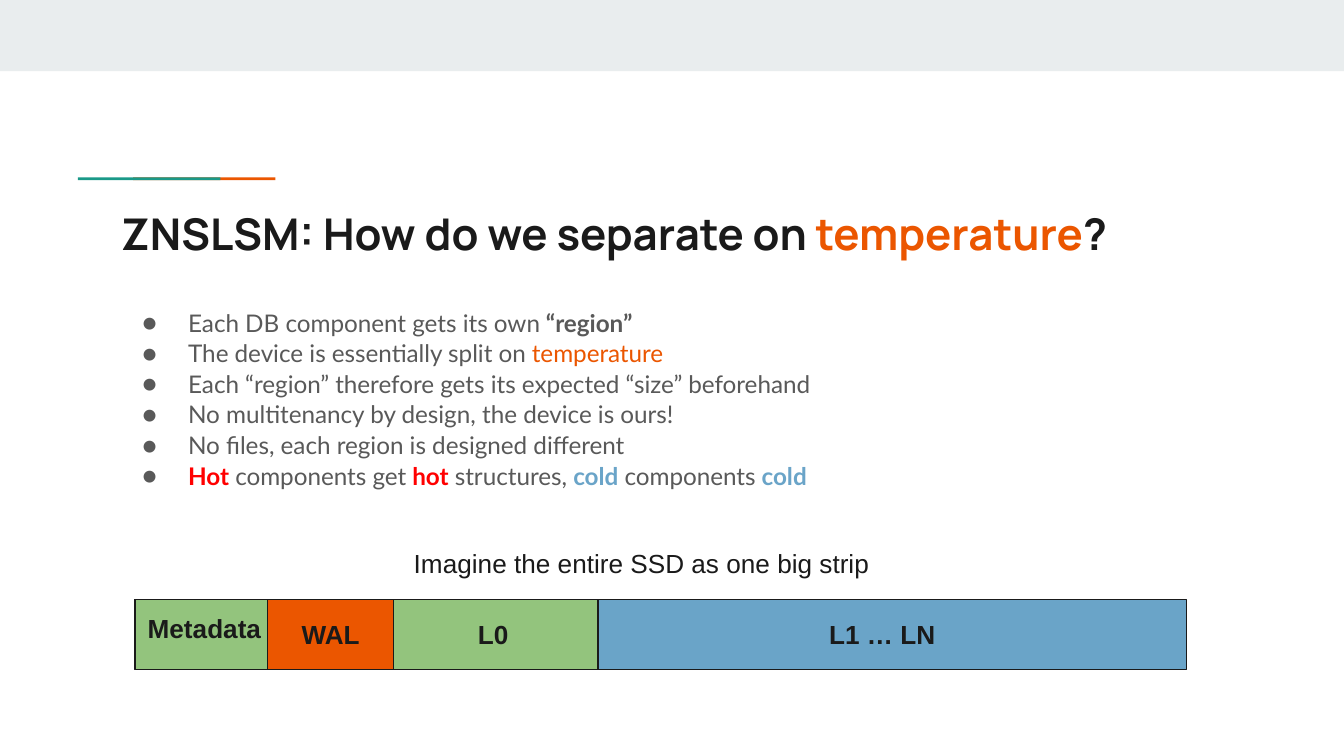
import pptx
import pptx.util
import pptx.dml.color
import pptx.enum.shapes
import pptx.enum.text
import pptx.oxml
import pptx.oxml.ns
from pptx.util import Inches

COLORS = {
    "ink": "1A1A1A", "grey": "595959", "band": "E9EDEE", "teal": "1A9988",
    "orange": "EB5600", "red": "FF0000", "blue": "6AA4C8", "green": "93C47D",
}
ALIGN = pptx.enum.text.PP_ALIGN

# Each line is a list of (text, colour, bold)
TITLE = [("ZNSLSM: How do we separate on ", "ink", True),
         ("temperature", "orange", True), ("?", "ink", True)]
POINTS = [
    [("Each DB component gets its own ", "grey", False), ("“region”", "grey", True)],
    [("The device is essentially split on ", "grey", False),
     ("temperature", "orange", False)],
    [("Each “region” therefore gets its expected “size” beforehand", "grey", False)],
    [("No multitenancy by design, the device is ours!", "grey", False)],
    [("No files, each region is designed different", "grey", False)],
    [("Hot", "red", True), (" components get ", "grey", False),
     ("hot", "red", True), (" structures, ", "grey", False),
     ("cold", "blue", True), (" components ", "grey", False),
     ("cold", "blue", True)],
]
# Strip regions: left, width, colour (the first lies under the others)
REGIONS = [(0, 7.83, "blue"), (0.01, 0.98, "green"),
           (0.99, 0.94, "orange"), (1.93, 1.52, "green")]
# Strip labels: text, left, top, width, alignment
LABELS = [("Metadata", 0, 0, 1.19, ALIGN.LEFT),
          ("WAL", 0.94, 0.04, 1.04, ALIGN.CENTER),
          ("L0", 2.15, 0.04, 1.04, ALIGN.CENTER),
          ("L1 … LN", 4.34, 0.04, 2.45, ALIGN.CENTER)]


def rgb(name):
    return pptx.dml.color.RGBColor.from_string(COLORS[name])


def place(shape, left, top, width, height):
    shape.left, shape.top = Inches(left), Inches(top)
    shape.width, shape.height = Inches(width), Inches(height)


def prepare_frame(shape):
    frame = shape.text_frame
    frame.word_wrap = True
    frame.auto_size = pptx.enum.text.MSO_AUTO_SIZE.NONE
    frame.vertical_anchor = pptx.enum.text.MSO_ANCHOR.TOP
    frame.margin_left = frame.margin_right = Inches(0.1)
    frame.margin_top = frame.margin_bottom = Inches(0.1)
    return frame


def write_spans(para, spans, font, size):
    for text, color, bold in spans:
        span = para.add_run()
        span.text = text
        span.font.name = font
        span.font.size = pptx.util.Pt(size)
        span.font.bold = bold
        span.font.color.rgb = rgb(color)


def add_bullet(para):
    properties = para._p.get_or_add_pPr()
    properties.set("marL", str(Inches(0.5)))
    properties.set("indent", str(Inches(-0.34)))
    namespace = pptx.oxml.ns.nsdecls("a")
    for xml in (
        f'<a:buClr {namespace}><a:srgbClr val="{COLORS["grey"]}"/></a:buClr>',
        f'<a:buFont {namespace} typeface="Lato"/>',
        f'<a:buChar {namespace} char="●"/>',
    ):
        properties.append(pptx.oxml.parse_xml(xml))


def add_rectangle(page, left, top, width, height, color, outlined=False):
    shape = page.shapes.add_shape(
        pptx.enum.shapes.MSO_SHAPE.RECTANGLE,
        Inches(left), Inches(top), Inches(width), Inches(height))
    shape.shadow.inherit = False
    shape.fill.solid()
    shape.fill.fore_color.rgb = rgb(color)
    if outlined:
        shape.line.color.rgb = rgb("ink")
        shape.line.width = pptx.util.Pt(0.75)
    else:
        shape.line.fill.background()


def add_label(page, text, left, top, width, align, bold):
    box = page.shapes.add_textbox(
        Inches(left), Inches(top), Inches(width), Inches(0.44))
    para = prepare_frame(box).paragraphs[0]
    para.alignment = align
    write_spans(para, [(text, "ink", bold)], "Arial", 14)


def add_decoration(page, left, top, width):
    add_rectangle(page, left, top, width, 0.53, "band")
    # Accent rule: teal overlaps orange
    add_rectangle(page, left + 0.99, top + 1.32, 1.06, 0.02, "orange")
    add_rectangle(page, left + 0.58, top + 1.32, 1.06, 0.02, "teal")


def fill_title(page, left, top, width, height):
    title = page.shapes.title
    place(title, left, top, width, height)
    para = prepare_frame(title).paragraphs[0]
    para.alignment = ALIGN.LEFT
    write_spans(para, TITLE, "Manrope", 23.4)


def fill_points(page, left, top, width, height):
    body = page.placeholders[1]
    place(body, left, top, width, height)
    frame = prepare_frame(body)
    for index, spans in enumerate(POINTS):
        para = frame.add_paragraph() if index else frame.paragraphs[0]
        add_bullet(para)
        para.alignment = ALIGN.LEFT
        para.line_spacing = 1.05
        para.space_before = para.space_after = pptx.util.Pt(0)
        write_spans(para, spans, "Lato", 13)


def add_strip(page, left, top, height):
    for offset, width, color in REGIONS:
        add_rectangle(page, left + offset, top, width, height, color, outlined=True)
    for text, across, down, width, align in LABELS:
        add_label(page, text, left + across, top + down, width, align, bold=True)
    add_label(page, "Imagine the entire SSD as one big strip",
              left + 1.98, top - 0.49, 3.75, ALIGN.LEFT, bold=False)


def main():
    deck = pptx.Presentation()
    # Widescreen page, 16:9
    deck.slide_width = Inches(10)
    deck.slide_height = deck.slide_width * 9 // 16
    page = deck.slides.add_slide(deck.slide_layouts[1])
    add_decoration(page, 0, 0, 10)
    fill_title(page, 0.8, 1.44, 8.41, 0.59)
    fill_points(page, 0.8, 2.18, 8.41, 1.61)
    add_strip(page, 1, 4.46, 0.52)
    deck.save("out.pptx")


if __name__ == "__main__":
    main()
